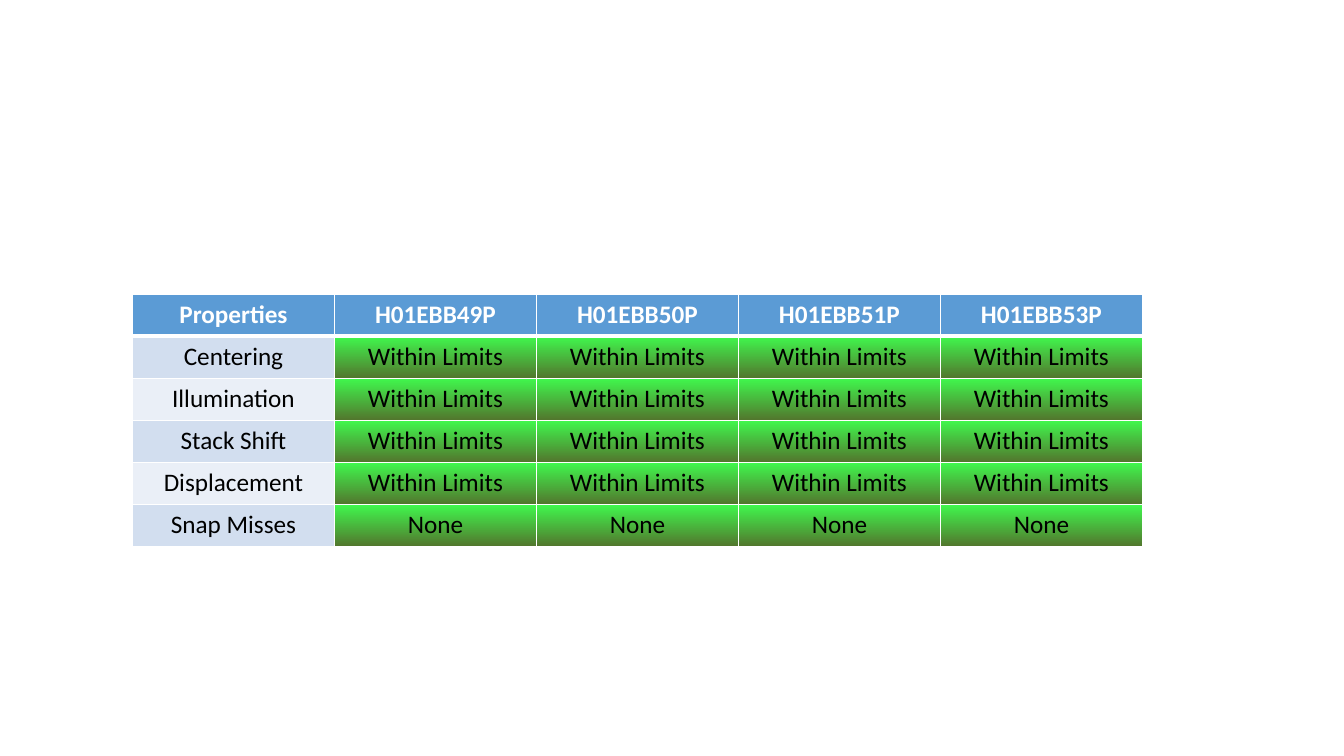
from pptx import Presentation
from pptx.dml.color import RGBColor
from pptx.enum.text import MSO_ANCHOR as Anchor, PP_ALIGN as Align
from pptx.oxml.ns import qn
from pptx.util import Cm, Pt
from lxml.etree import SubElement

WHITE = RGBColor(0xFF, 0xFF, 0xFF)
BLACK = RGBColor(0x00, 0x00, 0x00)
HEADER_BLUE = RGBColor(0x5B, 0x9B, 0xD5)
BAND_DARK = RGBColor(0xD2, 0xDE, 0xEF)
BAND_LIGHT = RGBColor(0xEA, 0xEF, 0xF7)
PASS_TOP = RGBColor(0x40, 0xF8, 0x4D)
PASS_BOTTOM = RGBColor(0x52, 0x76, 0x2D)

UNITS = ["H01EBB49P", "H01EBB50P", "H01EBB51P", "H01EBB53P"]
RESULTS = {
    "Centering": "Within Limits",
    "Illumination": "Within Limits",
    "Stack Shift": "Within Limits",
    "Displacement": "Within Limits",
    "Snap Misses": "None",
}


def set_borders(cell, top, bottom):
    properties = cell._tc.get_or_add_tcPr()
    for side, width in (("lnL", 1), ("lnR", 1), ("lnT", top), ("lnB", bottom)):
        line = SubElement(properties, qn("a:" + side), w=str(Pt(width)))
        fill = SubElement(line, qn("a:solidFill"))
        SubElement(fill, qn("a:srgbClr"), val=str(WHITE))


def fill_solid(cell, colour):
    cell.fill.solid()
    cell.fill.fore_color.rgb = colour


def fill_pass(cell):
    cell.fill.gradient()
    cell.fill.gradient_angle = 270
    for stop, colour in zip(cell.fill.gradient_stops, (PASS_TOP, PASS_BOTTOM)):
        stop.color.rgb = colour


def write_cell(cell, text, colour, bold):
    cell.vertical_anchor = Anchor.TOP
    para = cell.text_frame.paragraphs[0]
    para.alignment = Align.CENTER
    span = para.add_run()
    span.text = text
    span.font.name = "Calibri"
    span.font.size = Pt(18)
    span.font.bold = bold
    span.font.color.rgb = colour


def add_results_table(page, left, top, width, height):
    rows = [["Properties", *UNITS]]
    rows += [[name] + [result] * len(UNITS) for name, result in RESULTS.items()]
    frame = page.shapes.add_table(len(rows), len(rows[0]), left, top, width, height)
    table = frame.table
    for row_index, texts in enumerate(rows):
        header = row_index == 0
        for column_index, text in enumerate(texts):
            cell = table.cell(row_index, column_index)
            set_borders(cell, 3 if row_index == 1 else 1, 3 if header else 1)
            if header:
                fill_solid(cell, HEADER_BLUE)
            elif column_index == 0:
                fill_solid(cell, BAND_DARK if row_index % 2 else BAND_LIGHT)
            else:
                fill_pass(cell)
            write_cell(cell, text, WHITE if header else BLACK, header)


deck = Presentation()
deck.slide_width = Cm(33.87)
deck.slide_height = Cm(19.05)
page = deck.slides.add_slide(deck.slide_layouts[6])
add_results_table(page, Cm(3.34), Cm(7.41), Cm(25.45), Cm(6.36))
deck.save("out.pptx")
